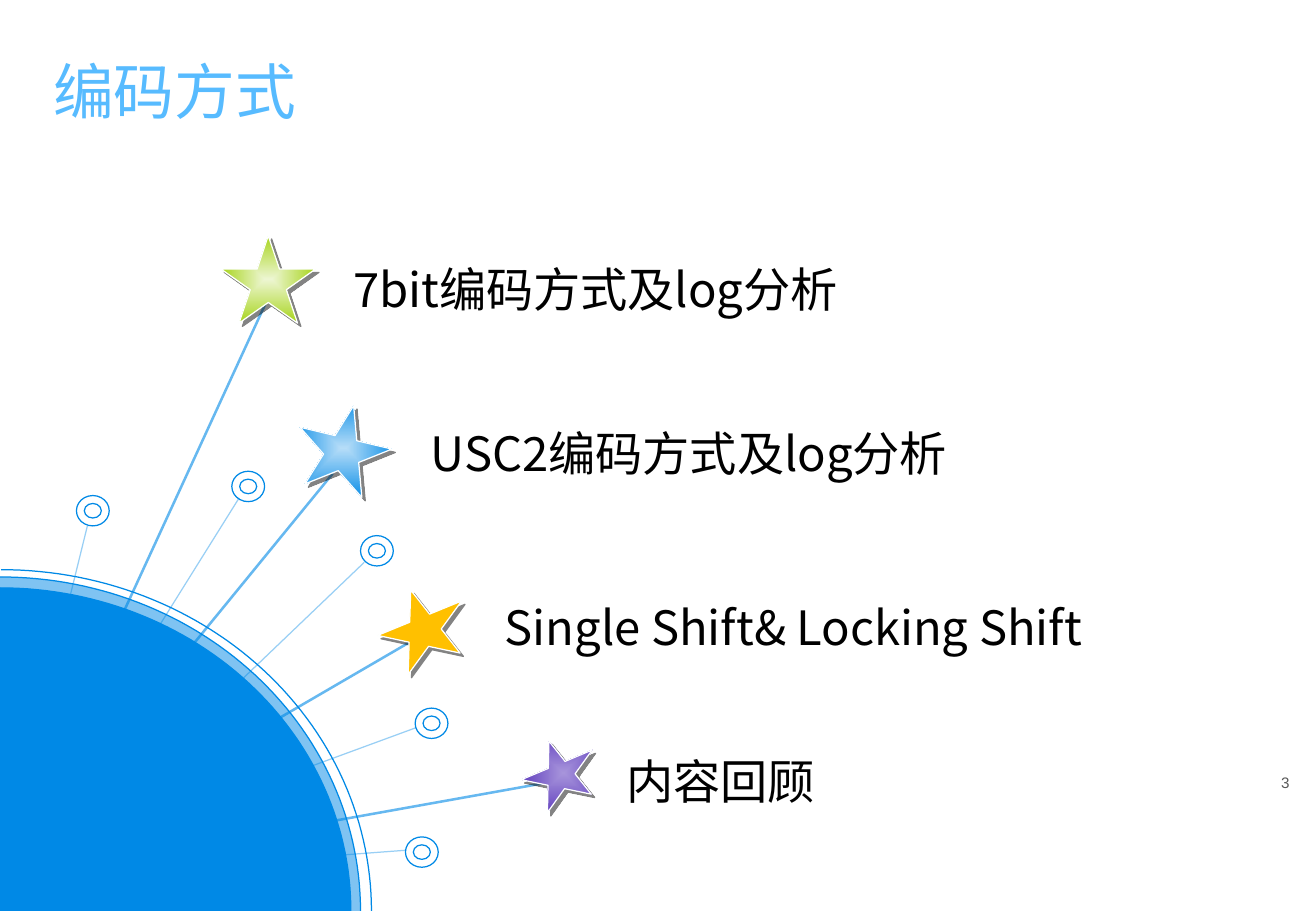
from math import cos, pi, sin

from lxml.etree import SubElement
from pptx import Presentation
from pptx.dml.color import RGBColor
from pptx.enum.shapes import MSO_CONNECTOR, MSO_SHAPE
from pptx.enum.text import PP_ALIGN
from pptx.oxml.ns import qn
from pptx.util import Inches, Pt

COLORS = {
    "blue": "0089E6", "title": "57BBFF", "black": "000000", "gray": "595959",
    "white": "FFFFFF", "star_edge": "FEFFFF", "shadow": "080808",
    "green_in": "EDF6D2", "green_out": "A7D41C", "blue_in": "B6DDF8",
    "purple_in": "A794DB", "purple_out": "522DB8", "gold": "FFC000",
}
RGB = {name: RGBColor.from_string(value) for name, value in COLORS.items()}
CJK = "Noto Sans CJK SC"

prs = Presentation()
prs.slide_width, prs.slide_height = Inches(10.84), Inches(7.5)
s = prs.slides.add_slide(prs.slide_layouts[6])


def set_opacity(fill_element, percent):
    color = fill_element.find(qn("a:srgbClr"))
    SubElement(color, qn("a:alpha"), val=str(percent * 1000))


def add_text(text, box, size, color, font=CJK):
    tf = s.shapes.add_textbox(*map(Inches, box)).text_frame
    tf.word_wrap = True
    p = tf.paragraphs[0]
    p.text = text
    p.font.size, p.font.name = Pt(size), font
    p.font.color.rgb = RGB[color]
    SubElement(p._p.pPr.find(qn("a:defRPr")), qn("a:ea"), typeface=font)
    return p


add_text("3", (9.95, 6.32, 0.77, 0.25), 9, "gray", "Arial").alignment = PP_ALIGN.RIGHT

# Spokes: start x, start y, hub y, width in points, opacity
thin_spokes = [(x, y, 7.25, 0.75, 40) for x, y in
               [(3.34, 7), (0.72, 4.33), (1.97, 4.1), (3.43, 5.99)]]
star_spokes = [(x, y, 7.25, 1.5, 60) for x, y in
               [(2.21, 2.45), (2.74, 3.9), (3.37, 5.29), (4.58, 6.43)]]
top_spoke = (3, 4.63, 7.5, 0.75, 40)

# Quarter discs: left, radius x, radius y, fill opacity
outer_ring = (0.01, 3.05, 2.81, None)
halo = (0, 2.97, 2.75, 50)
disc = (0, 2.89, 2.66, 100)

layers = [("arc", outer_ring)]
layers += [("spoke", spoke) for spoke in thin_spokes + star_spokes]
layers += [("arc", halo), ("spoke", top_spoke), ("arc", disc)]

ARC_STEPS = 60
for kind, values in layers:
    if kind == "spoke":
        x, y, hub_y, width, opacity = values
        spoke = s.shapes.add_connector(
            MSO_CONNECTOR.STRAIGHT, Inches(x), Inches(y), 0, Inches(hub_y))
        spoke.line.color.rgb = RGB["blue"]
        spoke.line.width = Pt(width)
        spPr = spoke._element.spPr
        set_opacity(spPr.find(qn("a:ln")).find(qn("a:solidFill")), opacity)
        SubElement(spPr, qn("a:effectLst"))
        continue

    left, rx, ry, opacity = values
    angles = [pi / 2 * i / ARC_STEPS for i in range(ARC_STEPS + 1)]
    arc = [(Inches(left + rx * sin(a)), Inches(7.5 - ry * cos(a))) for a in angles]
    if opacity:
        builder = s.shapes.build_freeform(Inches(left), Inches(7.5))
        builder.add_line_segments(arc, close=True)
        sector = builder.convert_to_shape()
        sector.shadow.inherit = False
        sector.line.fill.background()
        sector.fill.solid()
        sector.fill.fore_color.rgb = RGB["blue"]
        set_opacity(sector._element.spPr.find(qn("a:solidFill")), opacity)
    builder = s.shapes.build_freeform(*arc[0])
    builder.add_line_segments(arc[1:], close=False)
    edge = builder.convert_to_shape()
    edge.shadow.inherit = False
    edge.fill.background()
    edge.line.color.rgb = RGB["blue"]
    edge.line.width = Pt(0.75)

for x, y in [(1.91, 3.88), (2.97, 4.41), (3.42, 5.83), (0.63, 4.08), (3.34, 6.89)]:
    ring = s.shapes.add_shape(
        MSO_SHAPE.DONUT, Inches(x), Inches(y), Inches(0.27), Inches(0.25))
    ring.adjustments[0] = 0.26
    ring.shadow.inherit = False
    ring.fill.solid()
    ring.fill.fore_color.rgb = RGB["white"]
    set_opacity(ring._element.spPr.find(qn("a:solidFill")), 60)
    ring.line.color.rgb = RGB["blue"]
    ring.line.width = Pt(0.75)

for text, box in [
    ("7bit编码方式及log分析", (2.81, 2.09, 5.21, 0.57)),
    ("USC2编码方式及log分析", (3.45, 3.44, 4.87, 0.57)),
    ("Single Shift& Locking Shift", (4.06, 4.88, 5.85, 1.04)),
    ("内容回顾", (5.06, 6.14, 3.26, 0.57)),
]:
    add_text(text, box, 28, "black")

for box, rotation, inner, outer in [
    ((4.36, 6.06, 0.56, 0.61), 51.4, "purple_in", "purple_out"),
    ((1.82, 1.94, 0.78, 0.72), 0, "green_in", "green_out"),
    ((2.44, 3.33, 0.78, 0.72), 13.4, "blue_in", "blue"),
    ((3.19, 4.81, 0.66, 0.72), 51.9, "gold", "gold"),
]:
    star = s.shapes.add_shape(MSO_SHAPE.STAR_5_POINT, *map(Inches, box))
    star.rotation = rotation
    star.line.color.rgb = RGB["star_edge"]
    star.line.width = Pt(0.75)
    spPr = star._element.spPr
    if inner == outer:
        star.fill.solid()
        star.fill.fore_color.rgb = RGB[inner]
    else:
        star.fill.gradient()
        for stop, color in zip(star.fill.gradient_stops, (inner, outer)):
            stop.color.rgb = RGB[color]
        grad = spPr.find(qn("a:gradFill"))
        grad.remove(grad.find(qn("a:lin")))
        center = SubElement(grad, qn("a:path"), {"path": "rect"})
        SubElement(center, qn("a:fillToRect"), l="50000", t="50000", r="50000", b="50000")
    star.shadow.inherit = False
    shadow = SubElement(
        spPr.find(qn("a:effectLst")), qn("a:outerShdw"),
        dist=str(Pt(2.8)), dir=str(45 * 60000), algn="ctr", rotWithShape="0")
    SubElement(shadow, qn("a:srgbClr"), val=COLORS["shadow"])
    set_opacity(shadow, 50)

add_text("编码方式", (0.34, 0.52, 9.95, 0.58), 36, "title").line_spacing = Pt(34)

prs.save("out.pptx")
